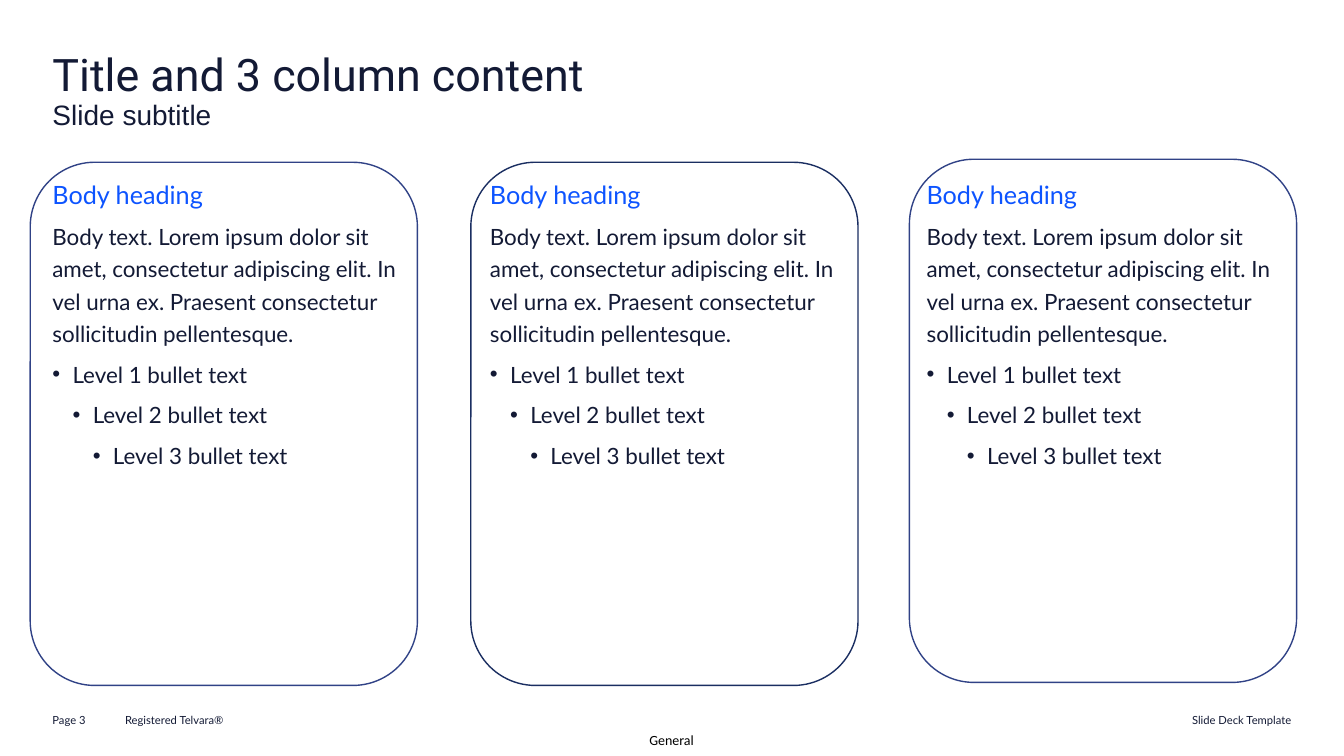
from dataclasses import dataclass

from lxml.etree import SubElement
from pptx import Presentation
from pptx.dml.color import RGBColor
from pptx.enum.shapes import MSO_SHAPE
from pptx.enum.text import MSO_ANCHOR, MSO_AUTO_SIZE, PP_ALIGN
from pptx.oxml.ns import qn
from pptx.slide import Slide
from pptx.util import Emu, Pt

PX = 9144
COLORS = {
    "ink": "131A35",
    "accent": "0D54FF",
    "black": "000000",
    "outline": "304286",
    "dark_outline": "1A2E61",
}
BULLET_STEP = 20


@dataclass(frozen=True)
class Line:
    text: str
    size: int
    font: str = "Lato"
    color: str = "ink"
    spacing: float = 1.0
    after: int = 0
    bullet_level: int = 0
    align: PP_ALIGN = PP_ALIGN.LEFT


@dataclass(frozen=True)
class TextBlock:
    left: int
    top: int
    width: int
    height: int
    lines: tuple[Line, ...]
    anchor: MSO_ANCHOR = MSO_ANCHOR.TOP
    wrap: bool = True
    grow: bool = False


@dataclass(frozen=True)
class Card:
    left: int
    top: int
    color: str


LOREM = (
    "Body text. Lorem ipsum dolor sit amet, consectetur adipiscing elit. "
    "In vel urna ex. Praesent consectetur sollicitudin pellentesque."
)
COLUMN_LINES = (
    Line("Body heading", 18, color="accent", spacing=0.9, after=6),
    Line(LOREM, 16, spacing=1.2, after=6),
    *(
        Line(f"Level {level} bullet text", 16, spacing=1.2, after=6, bullet_level=level)
        for level in (1, 2, 3)
    ),
)
TITLE = TextBlock(52, 52, 1012, 86, (
    Line("Title and 3 column content", 32, "Roboto", spacing=0.9),
    Line("Slide subtitle", 20, "Arial", spacing=0.9),
))
FOOTERS = (
    TextBlock(644, 726, 48, 17, (Line("General", 10, "Calibri", "black"),), grow=True),
    TextBlock(831, 708, 450, 13, (Line("Slide Deck Template", 8, align=PP_ALIGN.RIGHT),),
              MSO_ANCHOR.MIDDLE, grow=True),
    TextBlock(52, 708, 43, 13, (Line("Page 3", 8),), MSO_ANCHOR.MIDDLE, False, True),
    TextBlock(124, 708, 300, 13, (Line("Registered Telvara®", 8),),
              MSO_ANCHOR.MIDDLE, grow=True),
)
COLUMNS = tuple(
    TextBlock(52 + 434 * index - index // 2, 181, 361, 473, COLUMN_LINES)
    for index in range(3)
)
CARDS = (
    Card(30, 161, "outline"),
    Card(467, 161, "dark_outline"),
    Card(902, 158, "outline"),
)


def px(value: int) -> Emu:
    return Emu(value * PX)


def rgb(name: str) -> RGBColor:
    return RGBColor.from_string(COLORS[name])


def add_text(page: Slide, block: TextBlock) -> None:
    box = page.shapes.add_textbox(
        px(block.left), px(block.top), px(block.width), px(block.height)
    )
    frame = box.text_frame
    frame.margin_left = frame.margin_right = 0
    frame.margin_top = frame.margin_bottom = 0
    frame.word_wrap = block.wrap
    frame.vertical_anchor = block.anchor
    frame.auto_size = (
        MSO_AUTO_SIZE.SHAPE_TO_FIT_TEXT if block.grow else MSO_AUTO_SIZE.NONE
    )
    for index, line in enumerate(block.lines):
        para = frame.add_paragraph() if index else frame.paragraphs[0]
        if line.bullet_level:
            properties = para._p.get_or_add_pPr()
            properties.set("marL", str(px(BULLET_STEP * line.bullet_level)))
            properties.set("indent", str(px(-BULLET_STEP)))
            SubElement(properties, qn("a:buFont"), typeface="Arial")
            SubElement(properties, qn("a:buChar"), char="•")
        para.alignment = line.align
        para.line_spacing = line.spacing
        para.space_before = Pt(0)
        para.space_after = Pt(line.after)
        span = para.add_run()
        span.text = line.text
        span.font.name = line.font
        span.font.size = Pt(line.size)
        span.font.color.rgb = rgb(line.color)


def add_card(page: Slide, card: Card) -> None:
    shape = page.shapes.add_shape(
        MSO_SHAPE.ROUNDED_RECTANGLE, px(card.left), px(card.top), px(384), px(519)
    )
    shape.shadow.inherit = False
    shape.fill.background()
    shape.line.color.rgb = rgb(card.color)
    shape.line.width = Pt(1)


def main() -> None:
    deck = Presentation()
    deck.slide_width, deck.slide_height = px(1333), px(750)
    page = deck.slides.add_slide(deck.slide_layouts[6])
    for block in (*FOOTERS, TITLE, *COLUMNS):
        add_text(page, block)
    for card in CARDS:
        add_card(page, card)
    deck.save("out.pptx")


if __name__ == "__main__":
    main()
